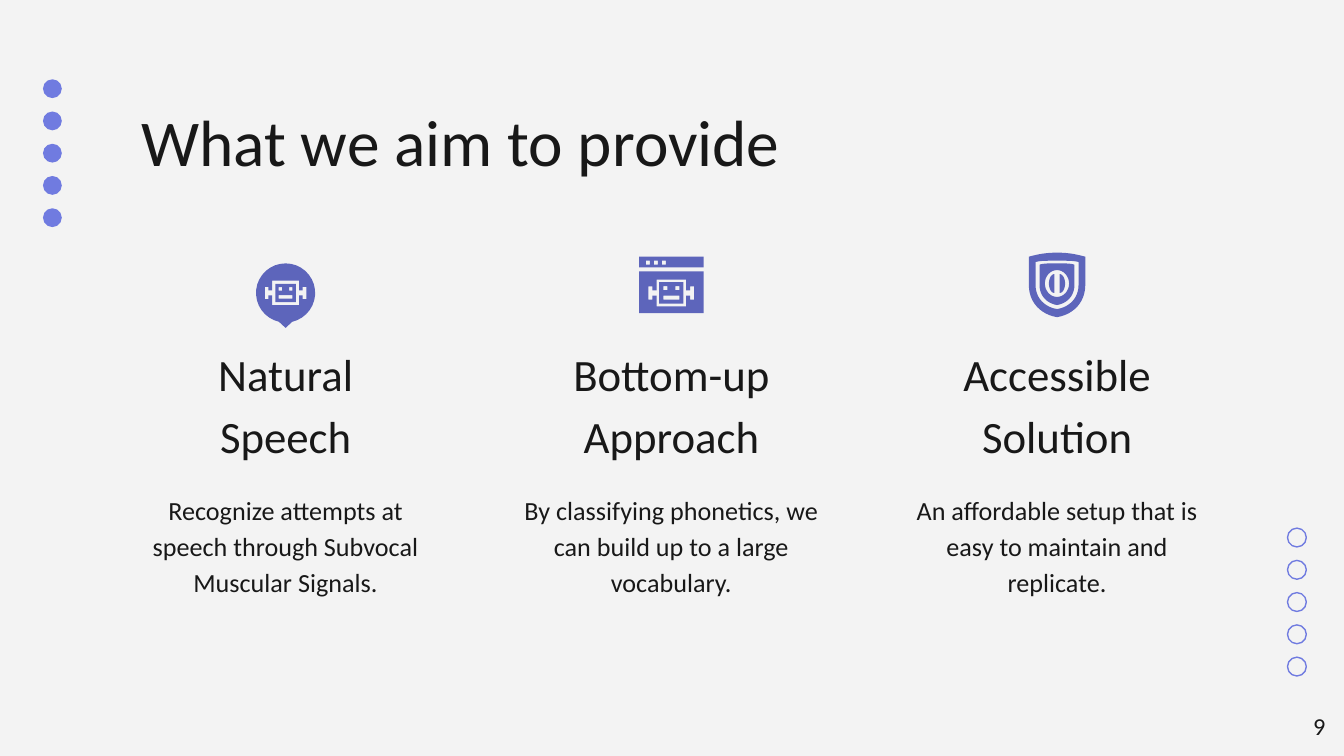
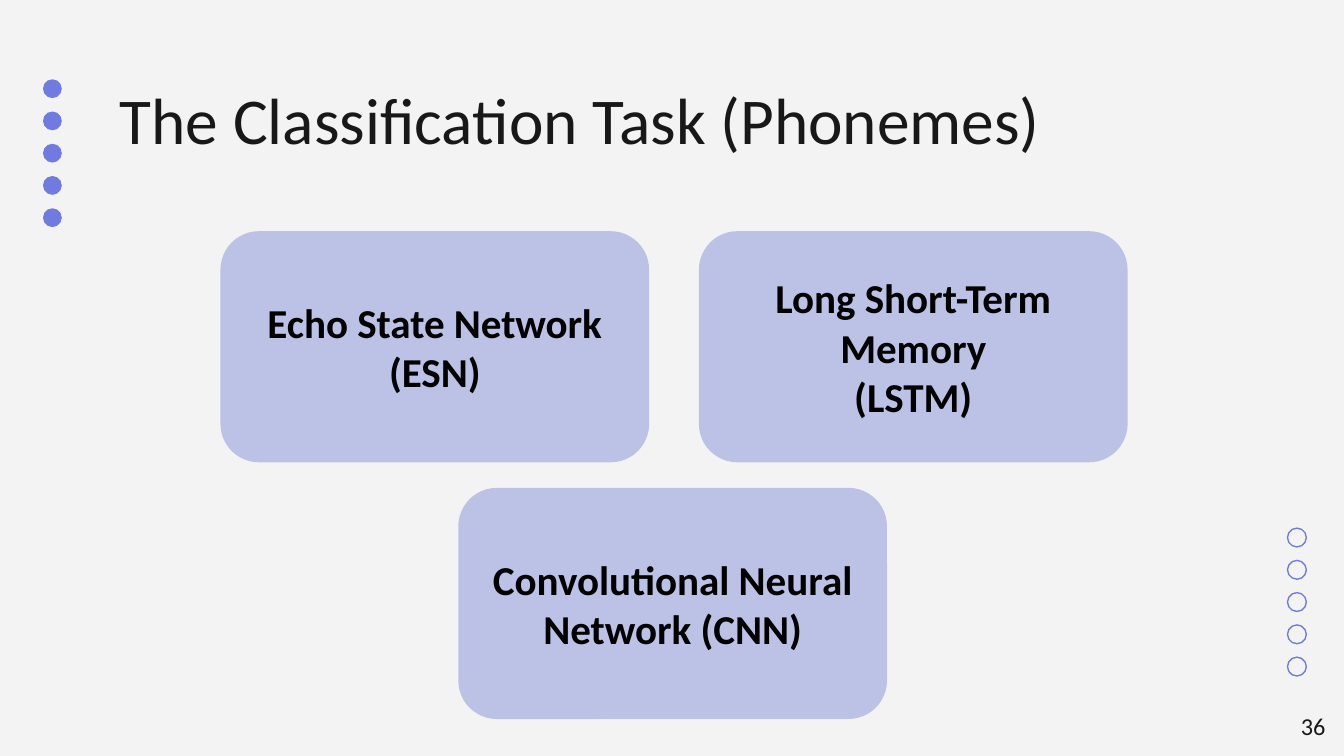
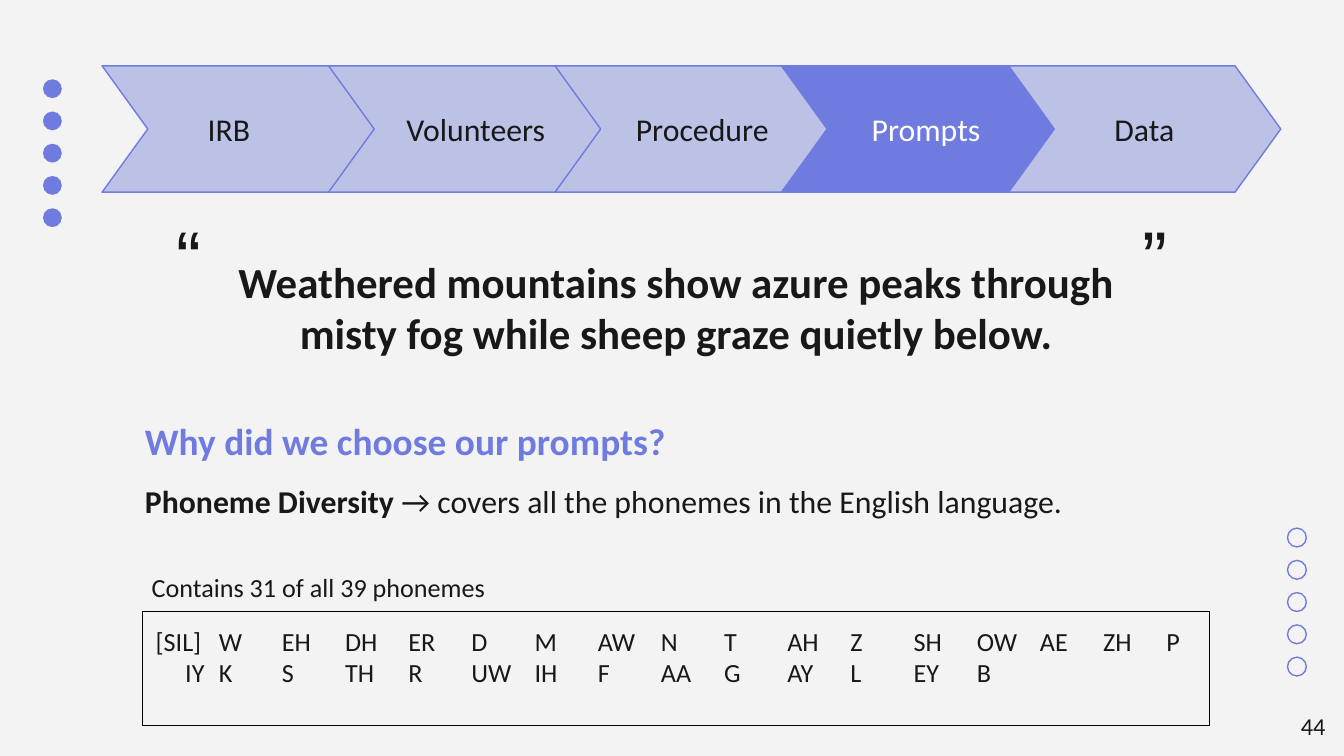
from dataclasses import dataclass
from math import cos, radians, sin

from pptx import Presentation
from pptx.dml.color import RGBColor
from pptx.enum.shapes import MSO_SHAPE
from pptx.enum.text import MSO_ANCHOR, MSO_AUTO_SIZE, PP_ALIGN
from pptx.oxml.ns import qn
from pptx.util import Inches, Pt
from lxml.etree import SubElement


@dataclass(frozen=True)
class Theme:
    paper: str = "F3F3F3"
    ink: str = "181818"
    black: str = "000000"
    white: str = "FFFFFF"
    accent: str = "707BE0"
    pale: str = "BCC1E6"
    icon: str = "5D65BB"
    font: str = "Calibri"
    quote_font: str = "Arial"
    title: int = 35
    quote_mark: int = 40
    heading: int = 24
    quote: int = 23
    card: int = 22
    question: int = 20
    step: int = 17
    body: int = 14
    number: int = 13
    line: float = 0.75


THEME = Theme()
TITLE_ONLY, BLANK = 5, 6


# Shared helpers
def color(code):
    return RGBColor.from_string(code)


def format_runs(para, size, code=THEME.ink, bold=False, font=THEME.font):
    for span in para.runs:
        span.font.name = font
        span.font.size = Pt(size)
        span.font.bold = bold
        span.font.color.rgb = color(code)


def write(shape, text, size, code=THEME.ink, bold=False, font=THEME.font,
          align=PP_ALIGN.LEFT, anchor=MSO_ANCHOR.TOP, spacing=None):
    frame = shape.text_frame
    frame.word_wrap = True
    frame.auto_size = MSO_AUTO_SIZE.NONE
    frame.vertical_anchor = anchor
    frame.margin_left = frame.margin_right = Inches(0.1)
    frame.margin_top = frame.margin_bottom = Inches(0.1)
    frame.text = text
    for para in frame.paragraphs:
        para.alignment = align
        if spacing:
            para.line_spacing = spacing
        format_runs(para, size, code, bold, font)
    return frame


def add_text(page, box, text, size, **style):
    shape = page.shapes.add_textbox(*map(Inches, box))
    return write(shape, text, size, **style)


def paint(shape, fill=None, line=None):
    shape.shadow.inherit = False
    if fill:
        shape.fill.solid()
        shape.fill.fore_color.rgb = color(fill)
    else:
        shape.fill.background()
    if line:
        shape.line.color.rgb = color(line)
        shape.line.width = Pt(THEME.line)
    else:
        shape.line.fill.background()


def add_preset(page, kind, box, fill=None, line=None):
    shape = page.shapes.add_shape(kind, *map(Inches, box))
    paint(shape, fill, line)
    return shape


def add_outline(page, contours, left, top, fill, line=None):
    """Draw closed contours as one shape; inner contours become holes."""
    builder = None
    for contour in contours:
        points = [(Inches(left + x), Inches(top + y)) for x, y in contour]
        if builder is None:
            builder = page.shapes.build_freeform(*points[0])
        else:
            builder.move_to(*points[0])
        builder.add_line_segments(points[1:], close=True)
    shape = builder.convert_to_shape()
    paint(shape, fill, line)
    return shape


def set_title(page, text, box):
    title = page.shapes.title
    title.left, title.top, title.width, title.height = map(Inches, box)
    write(title, text, THEME.title)


def add_dots(page, left, top, **style):
    for row in range(5):
        add_preset(page, MSO_SHAPE.OVAL,
                   (left, top + 0.24 * row, 0.14, 0.14), **style)


def new_page(deck, layout, number):
    page = deck.slides.add_slide(deck.slide_layouts[layout])
    add_dots(page, 9.58, 3.93, line=THEME.accent)
    add_dots(page, 0.32, 0.59, fill=THEME.accent)
    add_text(page, (9.36, 5.19, 0.6, 0.43), str(number), THEME.number,
             align=PP_ALIGN.RIGHT)
    return page


# Icon contours, measured from the icon's centre
def rectangle(left, top, right, bottom):
    return [(left, top), (right, top), (right, bottom), (left, bottom)]


def arc(x, y, across, down, start=0, end=360):
    angles = [radians(start + (end - start) * i / 32) for i in range(33)]
    return [(x + across * cos(a), y + down * sin(a)) for a in angles]


def curve(a, b, c, d):
    def at(t):
        weights = (1 - t) ** 3, 3 * t * (1 - t) ** 2, 3 * t * t * (1 - t), t ** 3
        return tuple(sum(w * p[axis] for w, p in zip(weights, (a, b, c, d)))
                     for axis in (0, 1))
    return [at(i / 12) for i in range(13)]


def mirrored(right_side):
    return right_side + [(-x, y) for x, y in reversed(right_side)]


def scaled(contours, factor):
    return [[(x * factor, y * factor) for x, y in c] for c in contours]


def shield(half, top, shoulder, bottom):
    return mirrored(
        curve((0, top), (half * 0.5, top), (half * 0.8, shoulder - 0.01),
              (half, shoulder))
        + curve((half, 0), (half, bottom * 0.55),
                (half * 0.57, bottom * 0.92), (0, bottom)))


ROBOT_HEAD = [rectangle(-0.09, -0.08, 0.09, 0.08),
              rectangle(-0.06, -0.05, -0.03, -0.02),
              rectangle(0.03, -0.05, 0.06, -0.02),
              rectangle(-0.06, 0.02, 0.06, 0.05)]
ROBOT_EDGE = mirrored([(0.11, -0.1), (0.11, -0.02), (0.14, -0.02),
                       (0.14, -0.05), (0.17, -0.05), (0.17, 0.05),
                       (0.14, 0.05), (0.14, 0.02), (0.11, 0.02), (0.11, 0.1)])


def speech_icon(page, x, y):
    bubble = arc(0, 0, 0.22, 0.22, 103, 437) + [(0, 0.26)]
    edge = scaled([ROBOT_EDGE], 0.91)
    add_outline(page, [bubble] + edge, x, y, THEME.icon)
    add_outline(page, scaled(ROBOT_HEAD, 0.85), x, y, THEME.icon)


def browser_icon(page, x, y):
    buttons = [rectangle(left, -0.24, left + 0.03, -0.21)
               for left in (-0.19, -0.13, -0.07)]
    bar = rectangle(-0.24, -0.27, 0.24, -0.19)
    window = rectangle(-0.24, -0.16, 0.24, 0.15)
    add_outline(page, [bar] + buttons, x, y, THEME.icon)
    add_outline(page, [window, ROBOT_EDGE], x, y, THEME.icon)
    add_outline(page, ROBOT_HEAD, x, y, THEME.icon)


def shield_icon(page, x, y):
    rim = [shield(0.21, -0.24, -0.21, 0.24), shield(0.16, -0.18, -0.17, 0.18)]
    plate = [shield(0.13, -0.16, -0.15, 0.15), arc(0, -0.01, 0.09, 0.1)]
    add_outline(page, rim, x, y, THEME.icon)
    add_outline(page, plate, x, y, THEME.icon)
    for side, start in ((0.02, -90), (-0.02, 90)):
        half = arc(side, -0.01, 0.04, 0.07, start, start + 180)
        add_outline(page, [half], x, y, THEME.icon)


# Slide: three aims
def add_aim(page, left, draw_icon, icon_y, heading, heading_height, body):
    width, split = 2.45, 3.54
    draw_icon(page, left + width / 2, icon_y)
    add_text(page, (left, split - heading_height, width, heading_height),
             heading, THEME.heading, align=PP_ALIGN.CENTER,
             anchor=MSO_ANCHOR.BOTTOM, spacing=1.15)
    add_text(page, (left, split, width, 1.11), body, THEME.body,
             align=PP_ALIGN.CENTER, spacing=1.15)


def build_aims(deck):
    page = new_page(deck, TITLE_ONLY, 9)
    set_title(page, "What we aim to provide", (0.95, 0.65, 8.97, 0.63))
    aims = [
        (speech_icon, 2.18, "Natural\nSpeech", 1.18,
         "Recognize attempts at speech through Subvocal Muscular Signals."),
        (browser_icon, 2.18, "Bottom-up Approach", 0.72,
         "By classifying phonetics, we can build up to a large vocabulary."),
        (shield_icon, 2.12, "Accessible Solution", 0.72,
         "An affordable setup that is easy to maintain and replicate."),
    ]
    for column, aim in enumerate(aims):
        add_aim(page, 0.9 + 2.87 * column, *aim)


# Slide: classification networks
def build_networks(deck):
    page = new_page(deck, TITLE_ONLY, 36)
    set_title(page, "The Classification Task (Phonemes)",
              (0.79, 0.49, 8.43, 0.63))
    networks = [(1.64, 1.72, "Echo State Network\n(ESN)"),
                (5.2, 1.72, "Long Short-Term Memory\n(LSTM)"),
                (3.41, 3.63, "Convolutional Neural Network (CNN)")]
    for left, top, name in networks:
        card = add_preset(page, MSO_SHAPE.ROUNDED_RECTANGLE,
                          (left, top, 3.19, 1.72), fill=THEME.pale)
        write(card, name, THEME.card, THEME.black, bold=True,
              align=PP_ALIGN.CENTER, anchor=MSO_ANCHOR.MIDDLE)


# Slide: prompts
def add_steps(page, left, top, width, current):
    # Each name has a nudge that moves its centre along the chevron.
    steps = [("IRB", -0.07), ("Volunteers", 0.08), ("Procedure", 0.08),
             ("Prompts", 0.06), ("Data", 0)]
    chevron = [(0, 0), (0.34, 0.47), (0, 0.94),
               (1.69, 0.94), (2.03, 0.47), (1.69, 0)]
    pitch = (width - 2.03) / (len(steps) - 1)
    order = sorted(range(len(steps)), key=lambda i: steps[i][0] == current)
    for index in order:
        name, nudge = steps[index]
        active = name == current
        step = add_outline(page, [chevron], left + pitch * index, top,
                           THEME.accent if active else THEME.pale,
                           THEME.accent)
        frame = write(step, name, THEME.step,
                      THEME.white if active else THEME.ink,
                      align=PP_ALIGN.CENTER, anchor=MSO_ANCHOR.MIDDLE)
        frame.margin_left = Inches(0.1 + max(0, 2 * nudge))
        frame.margin_right = Inches(0.1 + max(0, -2 * nudge))


def add_quote(page, left, top, text):
    add_text(page, (left + 0.46, top + 0.36, 7.09, 0.83), text, THEME.quote,
             bold=True, align=PP_ALIGN.CENTER, anchor=MSO_ANCHOR.MIDDLE)
    for offset, mark in ((0, "“"), (7.19, "”")):
        add_text(page, (left + offset, top, 0.75, 0.77), mark,
                 THEME.quote_mark, font=THEME.quote_font,
                 align=PP_ALIGN.CENTER, anchor=MSO_ANCHOR.MIDDLE)


def add_reason(page, box):
    frame = add_text(page, box, "Why did we choose our prompts?",
                     THEME.question, code=THEME.accent, bold=True)
    para = frame.add_paragraph()
    para.space_before = Pt(10)
    for text in ("Phoneme Diversity",
                 " → covers all the phonemes in the English language."):
        para.add_run().text = text
    format_runs(para, THEME.step)
    para.runs[0].font.bold = True


def set_tab_stops(para, positions):
    stops = SubElement(para._p.get_or_add_pPr(), qn("a:tabLst"))
    for position in positions:
        SubElement(stops, qn("a:tab"), pos=str(Inches(position)), algn="l")


def add_phonemes(page, left, top):
    rows = ["[SIL] W EH DH ER D M AW N T AH Z SH OW AE ZH P",
            "IY K S TH R UW IH F AA G AY L EY B"]
    panel = add_preset(page, MSO_SHAPE.RECTANGLE,
                       (left + 0.03, top + 0.4, 7.94, 0.85), line=THEME.black)
    # The second row starts at the narrow first stop.
    text = "\v\t".join(row.replace(" ", "\t") for row in rows)
    frame = write(panel, text, THEME.body)
    columns = len(rows[0].split())
    set_tab_stops(frame.paragraphs[0],
                  [0.22] + [0.47 * column for column in range(1, columns)])
    add_text(page, (left, top, 7.94, 0.4), "Contains 31 of all 39 phonemes",
             THEME.body)


def build_prompts(deck):
    page = new_page(deck, BLANK, 44)
    add_quote(page, 1.03, 1.51, "Weathered mountains show azure peaks through "
              "misty fog while sheep graze quietly below.")
    add_reason(page, (0.98, 3.01, 8.33, 1.23))
    add_phonemes(page, 1.03, 4.15)
    add_steps(page, 0.76, 0.49, 8.77, "Prompts")


def main():
    deck = Presentation()
    deck.slide_width = Inches(10)
    deck.slide_height = deck.slide_width * 9 // 16
    background = deck.slide_master.background.fill
    background.solid()
    background.fore_color.rgb = color(THEME.paper)
    build_aims(deck)
    build_networks(deck)
    build_prompts(deck)
    deck.save("out.pptx")


if __name__ == "__main__":
    main()
